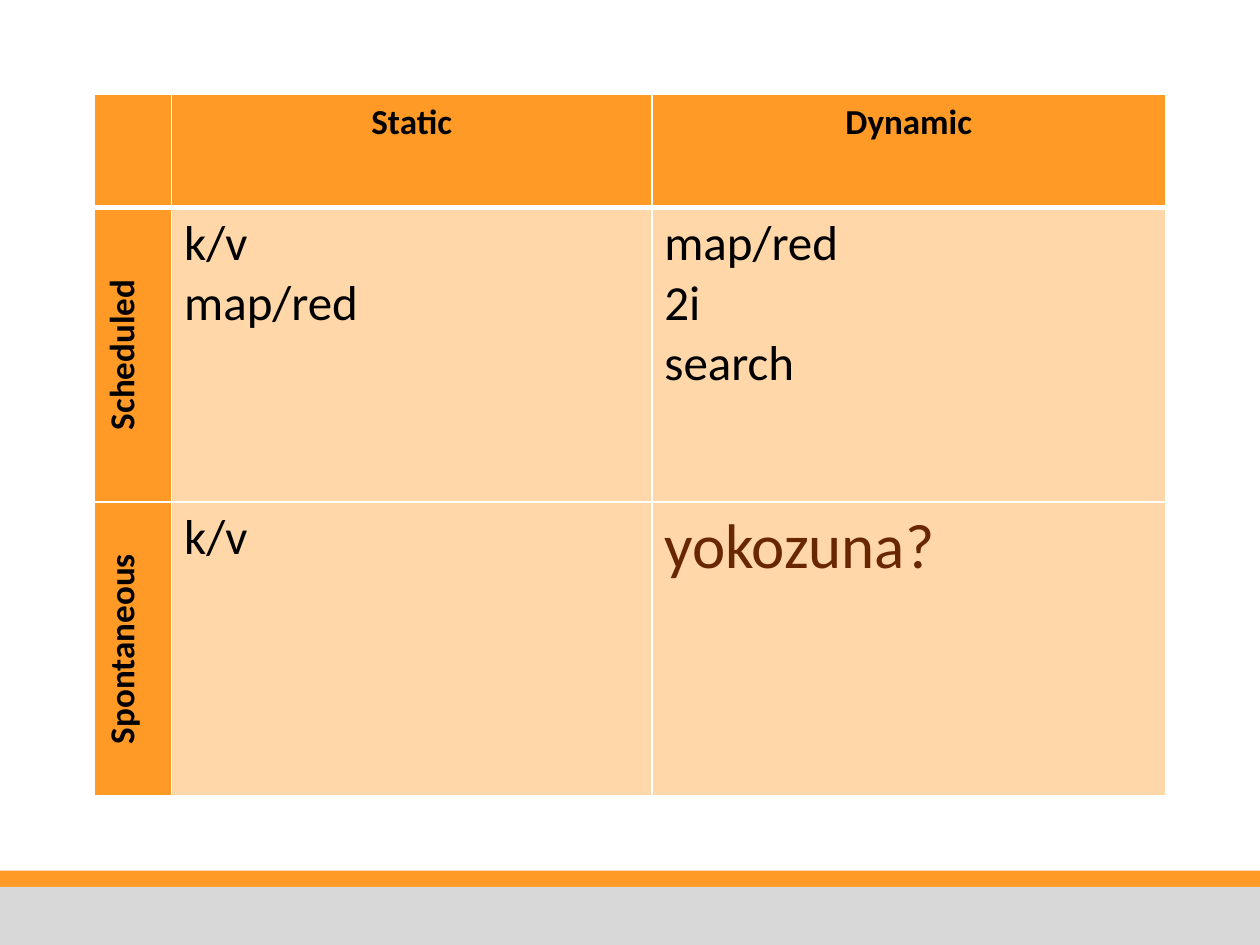
from dataclasses import dataclass
from itertools import product

from lxml.etree import SubElement
from pptx import Presentation
from pptx.dml.color import RGBColor
from pptx.enum.shapes import MSO_SHAPE as Preset
from pptx.enum.text import PP_ALIGN as Align
from pptx.oxml.ns import qn
from pptx.slide import Slide
from pptx.table import _Cell as Cell
from pptx.util import Cm, Pt


@dataclass(frozen=True)
class Theme:
    font: str = "Calibri"
    accent: str = "FE9A25"
    body_fill: str = "FFD7A8"
    footer: str = "D8D8D8"
    border: str = "FFFFFF"
    text: str = "000000"
    highlight: str = "692701"
    heading_size: int = 20
    body_size: int = 28
    highlight_size: int = 36
    thin_line: int = 1
    thick_line: int = 3


THEME = Theme()


@dataclass(frozen=True)
class Band:
    top: float
    height: float
    color: str


@dataclass(frozen=True)
class Entry:
    lines: tuple[str, ...] = ()
    size: int = THEME.body_size
    color: str = THEME.text


def heading(*lines: str) -> Entry:
    return Entry(lines, THEME.heading_size)


BANDS = (Band(17.55, 0.43, THEME.accent), Band(17.88, 1.17, THEME.footer))
TABLE_LEFT = TABLE_TOP = 1.91
COLUMN_WIDTHS = (1.55, 9.68, 10.36)
ROW_HEIGHTS = (2.28, 5.93, 5.93)
ENTRIES = (
    (heading(), heading("Static"), heading("Dynamic")),
    (heading("Scheduled"), Entry(("k/v", "map/red")), Entry(("map/red", "2i", "search"))),
    (heading("Spontaneous"), Entry(("k/v",)),
     Entry(("yokozuna?",), THEME.highlight_size, THEME.highlight)),
)


def add_band(slide: Slide, band: Band, width: int) -> None:
    shape = slide.shapes.add_shape(Preset.RECTANGLE, 0, Cm(band.top), width, Cm(band.height))
    shape.shadow.inherit = False
    shape.fill.solid()
    shape.fill.fore_color.rgb = RGBColor.from_string(band.color)
    shape.line.fill.background()


def set_borders(cell: Cell, top: int, bottom: int) -> None:
    """Draw all four sides; must run before the fill is set, as the schema orders them."""
    properties = cell._tc.get_or_add_tcPr()
    widths = {"lnL": THEME.thin_line, "lnR": THEME.thin_line, "lnT": top, "lnB": bottom}
    for side, width in widths.items():
        line = SubElement(properties, qn(f"a:{side}"), w=str(Pt(width)))
        fill = SubElement(line, qn("a:solidFill"))
        SubElement(fill, qn("a:srgbClr"), val=THEME.border)


def write_entry(cell: Cell, entry: Entry, is_heading: bool) -> None:
    cell.text = "\n".join(entry.lines)
    for paragraph in cell.text_frame.paragraphs:
        paragraph.alignment = Align.CENTER if is_heading else Align.LEFT
        font = paragraph.font
        font.name = THEME.font
        font.size = Pt(entry.size)
        font.bold = is_heading
        font.color.rgb = RGBColor.from_string(entry.color)


def add_matrix(slide: Slide) -> None:
    table = slide.shapes.add_table(
        len(ROW_HEIGHTS), len(COLUMN_WIDTHS), Cm(TABLE_LEFT), Cm(TABLE_TOP),
        Cm(sum(COLUMN_WIDTHS)), Cm(sum(ROW_HEIGHTS)),
    ).table
    table.first_col = True
    table.horz_banding = False
    for column, width in zip(table.columns, COLUMN_WIDTHS):
        column.width = Cm(width)
    for row, height in zip(table.rows, ROW_HEIGHTS):
        row.height = Cm(height)

    for row, column in product(range(len(ROW_HEIGHTS)), range(len(COLUMN_WIDTHS))):
        cell = table.cell(row, column)
        is_heading = row == 0 or column == 0
        set_borders(
            cell,
            top=THEME.thick_line if row == 1 else THEME.thin_line,
            bottom=THEME.thick_line if row == 0 else THEME.thin_line,
        )
        cell.fill.solid()
        cell.fill.fore_color.rgb = RGBColor.from_string(
            THEME.accent if is_heading else THEME.body_fill)
        write_entry(cell, ENTRIES[row][column], is_heading)
        if row > 0 and column == 0:
            cell._tc.get_or_add_tcPr().set("vert", "vert270")


def main() -> None:
    presentation = Presentation()
    presentation.slide_width, presentation.slide_height = Cm(25.4), Cm(19.05)
    blank_layout = presentation.slide_layouts[6]
    slide = presentation.slides.add_slide(blank_layout)
    for band in BANDS:
        add_band(slide, band, presentation.slide_width)
    add_matrix(slide)
    presentation.save("out.pptx")


if __name__ == "__main__":
    main()
